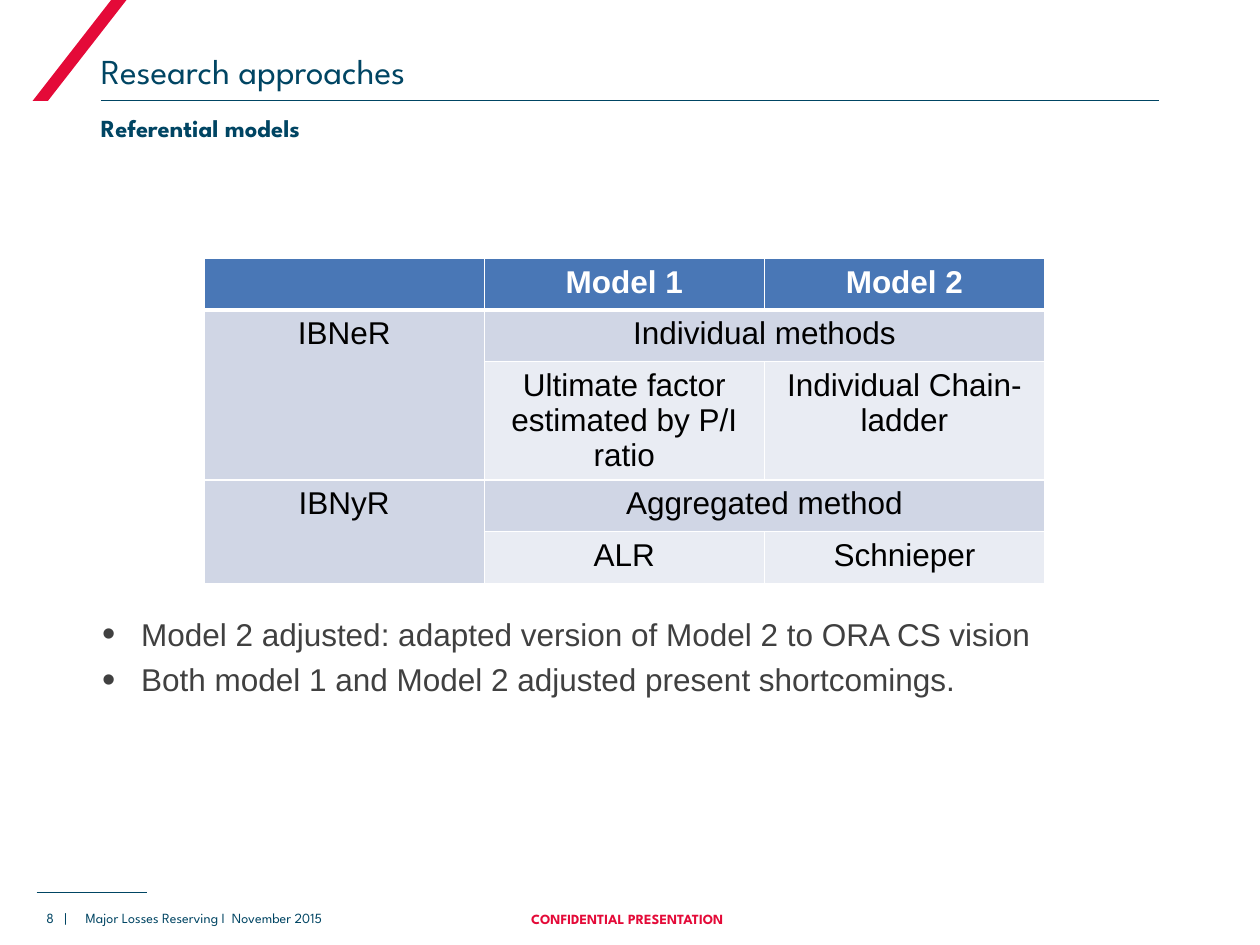
from lxml import etree
from pptx import Presentation
from pptx.dml.color import RGBColor
from pptx.enum.dml import MSO_THEME_COLOR
from pptx.enum.shapes import MSO_CONNECTOR, MSO_SHAPE
from pptx.enum.text import MSO_ANCHOR, MSO_AUTO_SIZE, PP_ALIGN
from pptx.oxml.ns import qn
from pptx.util import Inches, Pt

LEFT, CENTER, RIGHT = PP_ALIGN.LEFT, PP_ALIGN.CENTER, PP_ALIGN.RIGHT
TOP, BOTTOM = MSO_ANCHOR.TOP, MSO_ANCHOR.BOTTOM
STRAIGHT, PARALLELOGRAM = MSO_CONNECTOR.STRAIGHT, MSO_SHAPE.PARALLELOGRAM
NO_AUTOSIZE, WHITE_THEME = MSO_AUTO_SIZE.NONE, MSO_THEME_COLOR.BACKGROUND_1
TWO_CONTENT_LAYOUT = 3


def color(value):
    """Turn a hex string into a colour."""
    return RGBColor.from_string(value)


def grid(*steps):
    """Turn steps of a grid of 100 columns by 75 rows into lengths."""
    return [Inches(step / 10) for step in steps]


class ReportSlide:
    """Hold the house style and the current slide."""

    NAVY, RED, GRAY = "004563", "E40A38", "404040"
    WHITE, BLACK = "FFFFFF", "000000"
    HEADER, BAND, LIGHT = "4977B6", "D0D6E5", "E9ECF3"
    HEADING_FONT, BODY_FONT = "League Spartan", "Arial"

    def __init__(self, presentation):
        """Add a slide with a title and two body placeholders."""
        layout = presentation.slide_layouts[TWO_CONTENT_LAYOUT]
        self.slide = presentation.slides.add_slide(layout)
        self.slide.background.fill.solid()
        self.slide.background.fill.fore_color.theme_color = WHITE_THEME

    def run(self, paragraph, text, size, fill, font=HEADING_FONT, bold=False):
        """Add a formatted run to a paragraph."""
        run = paragraph.add_run()
        run.text = text
        run.font.size, run.font.name, run.font.bold = Pt(size), font, bold
        run.font.color.rgb = color(fill)

    def frame(self, shape, box, anchor=TOP, inset=0):
        """Place a text shape and return its frame without side margins."""
        shape.left, shape.top, shape.width, shape.height = grid(*box)
        frame = shape.text_frame
        frame.word_wrap, frame.auto_size = True, NO_AUTOSIZE
        frame.vertical_anchor = anchor
        frame.margin_left = frame.margin_right = frame.margin_bottom = 0
        frame.margin_top = grid(inset)[0]
        return frame

    def title(self, text, box):
        """Fill the title placeholder."""
        paragraph = self.frame(self.slide.shapes.title, box, BOTTOM).paragraphs[0]
        paragraph.alignment = LEFT
        self.run(paragraph, text, 20, self.NAVY)

    def body(self, index, lines, box, bullet=None, inset=0, **style):
        """Fill a body placeholder with plain or bulleted lines."""
        frame = self.frame(self.slide.placeholders[index], box, TOP, inset)
        for number, line in enumerate(lines):
            paragraph = frame.add_paragraph() if number else frame.paragraphs[0]
            paragraph.alignment = LEFT
            paragraph.space_before = Pt(4.3 if number else 0)
            properties = paragraph._p.get_or_add_pPr()
            properties.set("marL", str(Inches(0.31)))
            properties.set("indent", str(-Inches(0.31)))
            if bullet:
                etree.SubElement(properties, qn("a:buSzPct"), val="120000")
                etree.SubElement(properties, qn("a:buFont"), typeface=self.BODY_FONT)
                etree.SubElement(properties, qn("a:buChar"), char=bullet)
            else:
                etree.SubElement(properties, qn("a:buNone"))
            self.run(paragraph, line, **style)

    def note(self, text, box, alignment=LEFT, fill=NAVY, bold=False):
        """Add a small footer text."""
        shape = self.slide.shapes.add_textbox(*grid(*box))
        paragraph = self.frame(shape, box, BOTTOM).paragraphs[0]
        paragraph.alignment = alignment
        self.run(paragraph, text, 8, fill, bold=bold)

    def rule(self, start, end, row):
        """Draw a thin horizontal line."""
        line = self.slide.shapes.add_connector(STRAIGHT, *grid(start, row, end, row))
        line.line.color.rgb, line.line.width = color(self.NAVY), Pt(0.5)
        etree.SubElement(line._element.spPr, qn("a:effectLst"))

    def slash(self, box, slant):
        """Draw the red slanted bar."""
        shape = self.slide.shapes.add_shape(PARALLELOGRAM, *grid(*box))
        shape.adjustments[0] = slant
        shape.shadow.inherit = False
        shape.fill.solid()
        shape.fill.fore_color.rgb = color(self.RED)
        shape.line.fill.background()

    def borders(self, cell, top, bottom):
        """Give a cell white borders."""
        properties = cell._tc.get_or_add_tcPr()
        for side, width in zip("LRTB", (1, 1, top, bottom)):
            line = etree.SubElement(properties, qn(f"a:ln{side}"), w=str(Pt(width)))
            fill = etree.SubElement(line, qn("a:solidFill"))
            etree.SubElement(fill, qn("a:srgbClr"), val=self.WHITE)

    def table(self, rows, merges, box, row_height):
        """Add a table with a header row and merged cells."""
        graphic = self.slide.shapes.add_table(len(rows), len(rows[0]), *grid(*box))
        table = graphic.table
        for row_index, row in enumerate(rows):
            table.rows[row_index].height = grid(row_height)[0]
            header = row_index == 0
            for column_index, text in enumerate(row):
                cell = table.cell(row_index, column_index)
                self.borders(cell, 3 if row_index == 1 else 1, 3 if header else 1)
                band = column_index == 0 or row_index % 2
                cell.fill.solid()
                cell.fill.fore_color.rgb = color(
                    self.HEADER if header else self.BAND if band else self.LIGHT)
                if text:
                    paragraph = cell.text_frame.paragraphs[0]
                    paragraph.alignment = CENTER
                    self.run(paragraph, text, 18, self.WHITE if header else self.BLACK,
                             self.BODY_FONT, header)
        for first, last in merges:
            table.cell(*first).merge(table.cell(*last))
        graphic.height = grid(box[3])[0]


def main():
    """Build the slide and save it."""
    presentation = Presentation()
    presentation.slide_width, presentation.slide_height = grid(100, 75)
    page = ReportSlide(presentation)
    page.rule(2.9, 11.7, 70.8)
    page.slash((2.6, -0.2, 7.6, 8.2), 0.84)
    page.rule(8, 92, 8)
    page.title("Research approaches", (8, 3.6, 84, 3.7))
    page.body(1, ["Referential models"], (8, 9, 83.9, 4.2),
              size=14, fill=page.NAVY, bold=True)
    page.body(2, ["Model 2 adjusted: adapted version of Model 2 to ORA CS vision",
                  "Both model 1 and Model 2 adjusted present shortcomings."],
              (8.1, 17.2, 83.9, 48.9), "•", 31.6,
              size=18, fill=page.GRAY, font=page.BODY_FONT)
    page.table([
        ["", "Model 1", "Model 2"],
        ["IBNeR", "Individual methods", ""],
        ["", "Ultimate factor estimated by P/I ratio", "Individual Chain-ladder"],
        ["IBNyR", "Aggregated method", ""],
        ["", "ALR", "Schnieper"],
    ], [((row, 0), (row + 1, 0)) for row in (1, 3)]
        + [((row, 1), (row, 2)) for row in (1, 3)],
        (16.2, 20.5, 66.7, 26.2), 4.1)
    page.note("8   |  ", (0.6, 71.2, 5.3, 2.3), RIGHT)
    page.note("Major Losses Reserving I  November 2015", (6.8, 71.2, 31.3, 2.3))
    page.note("CONFIDENTIAL PRESENTATION ", (38.3, 71.2, 23.3, 2.4),
              CENTER, page.RED, True)
    presentation.save("out.pptx")


if __name__ == "__main__":
    main()
